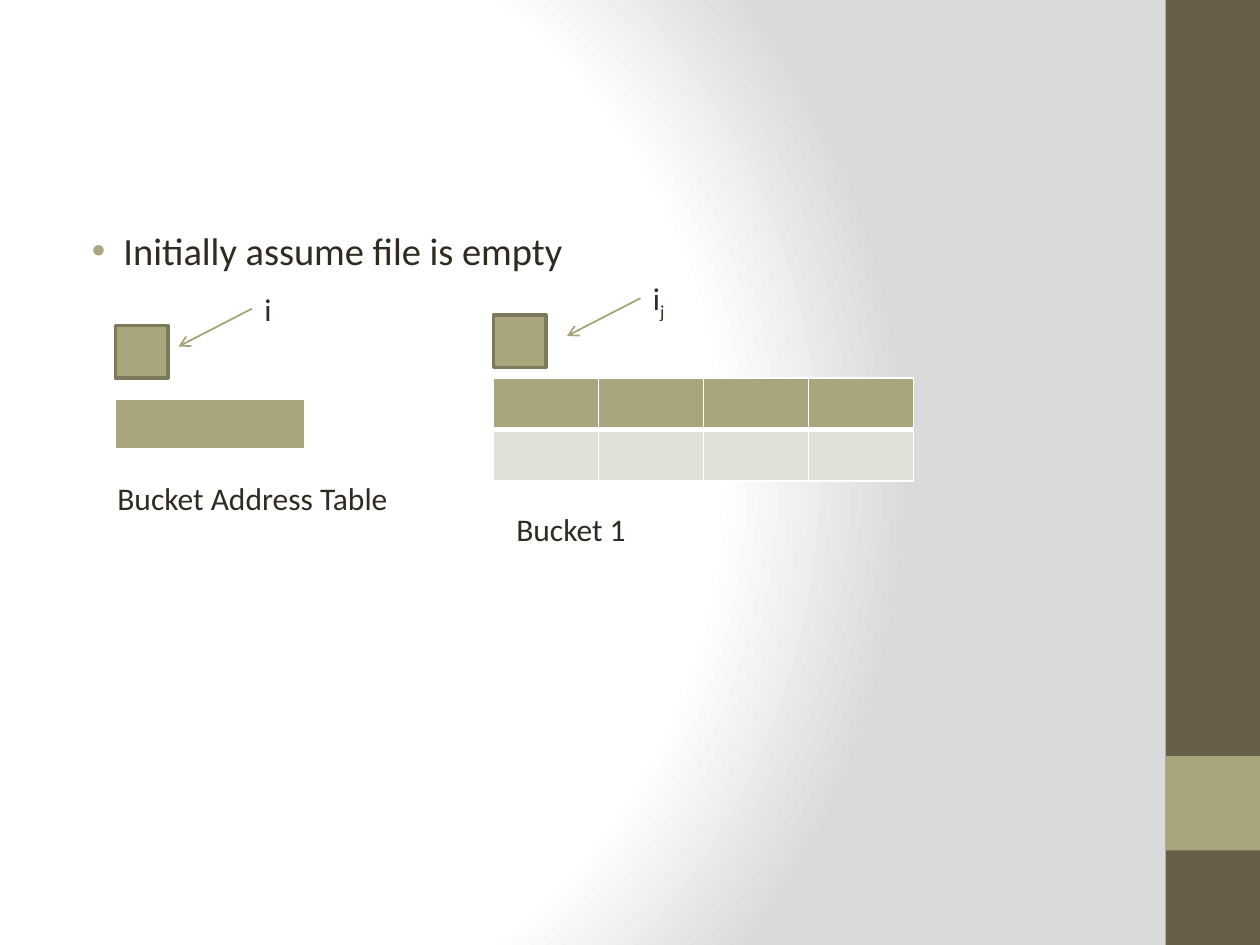
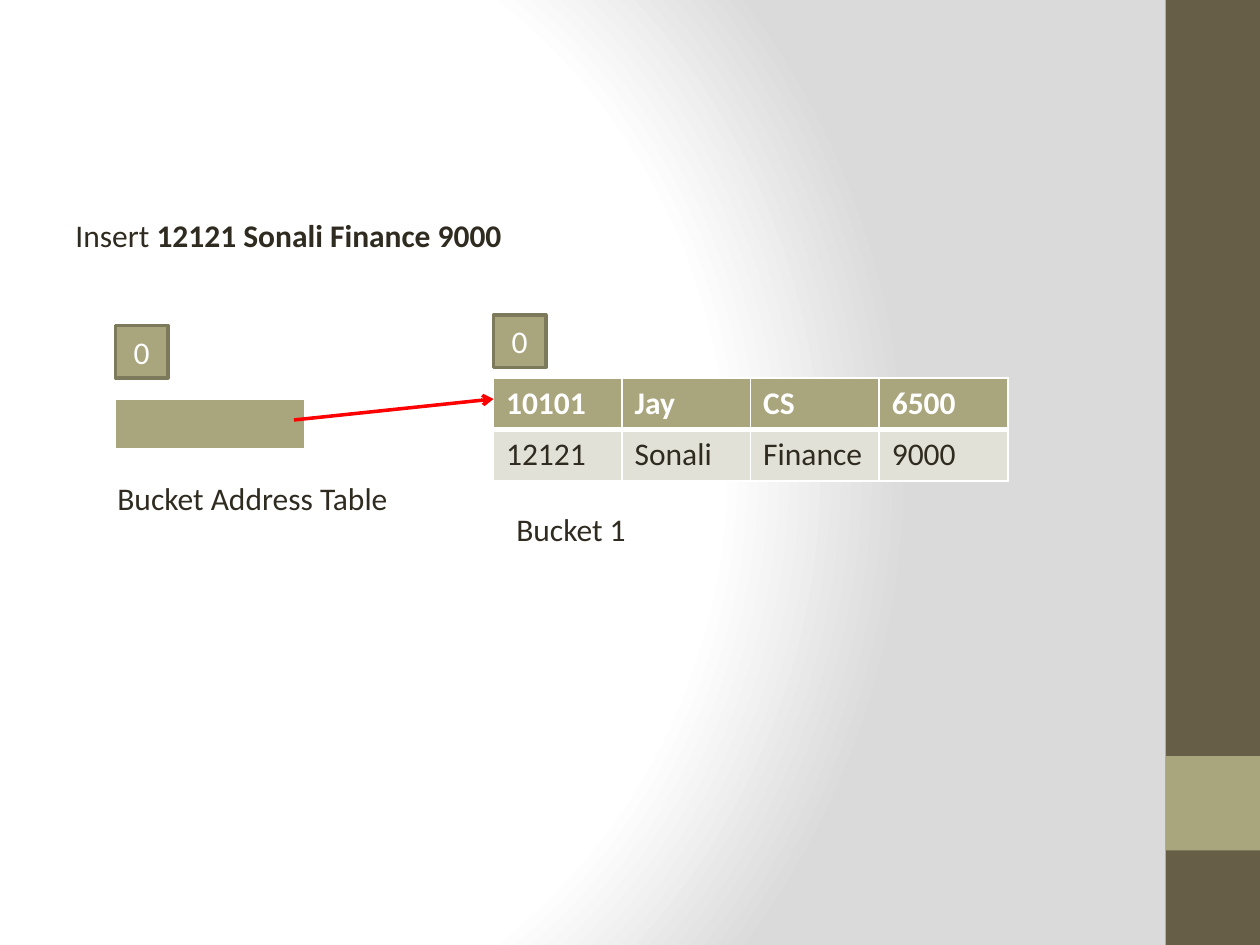
from lxml import etree
from pptx import Presentation
from pptx.dml.color import RGBColor
from pptx.enum.shapes import MSO_CONNECTOR, MSO_SHAPE
from pptx.enum.text import MSO_ANCHOR, PP_ALIGN
from pptx.oxml import parse_xml
from pptx.oxml.ns import nsdecls, qn
from pptx.util import Inches, Pt

RECTANGLE = MSO_SHAPE.RECTANGLE
STRAIGHT = MSO_CONNECTOR.STRAIGHT
MIDDLE = MSO_ANCHOR.MIDDLE
CENTER = PP_ALIGN.CENTER

COLUMNS, ROWS = 120, 90
RECORD_ROW = 4.9
FONT = "Calibri"
INK, WHITE, BROWN, OLIVE = "2F2B20", "FFFFFF", "675E47", "A9A57C"
OUTLINE, PALE, POINTER, RED = "7D7A5C", "E2E1D7", "A6A278", "FF0000"
BACKDROP = [(0, WHITE), (75, WHITE), (100, "DADADA")]


def grid(*units):
    """Turn grid units, twelve to the inch, into lengths."""
    return [Inches(unit / 12) for unit in units]


def color(hex_code):
    """Turn a hex string into a colour."""
    return RGBColor.from_string(hex_code)


def write(paragraph, text, size=18, ink=INK, bold=False, baseline=0):
    """Add a formatted run to a paragraph."""
    run = paragraph.add_run()
    run.text = text
    run.font.name, run.font.size, run.font.bold = FONT, Pt(size), bold
    run.font.color.rgb = color(ink)
    if baseline:
        run._r.get_or_add_rPr().set("baseline", str(baseline * 1000))


def add_block(slide, place, fill, outline=None, text=""):
    """Add a filled rectangle with an optional outline and centred text."""
    block = slide.shapes.add_shape(RECTANGLE, *grid(*place))
    block.shadow.inherit = False
    block.fill.solid()
    block.fill.fore_color.rgb = color(fill)
    if outline:
        block.line.color.rgb = color(outline)
        block.line.width = Pt(2)
    else:
        block.line.fill.background()
    if text:
        block.text_frame.vertical_anchor = MIDDLE
        paragraph = block.text_frame.paragraphs[0]
        paragraph.alignment = CENTER
        write(paragraph, text, ink=WHITE)


def add_label(slide, place, *pieces):
    """Add a text box from pairs of text and format."""
    frame = slide.shapes.add_textbox(*grid(*place)).text_frame
    frame.word_wrap = True
    for text, style in pieces:
        write(frame.paragraphs[0], text, **style)


def add_arrow(slide, start, end, ink, width):
    """Add a straight line with an open arrowhead at its end."""
    arrow = slide.shapes.add_connector(STRAIGHT, *grid(*start, *end))
    arrow.line.color.rgb = color(ink)
    arrow.line.width = Pt(width)
    etree.SubElement(arrow.line._get_or_add_ln(), qn("a:tailEnd"), type="arrow")
    etree.SubElement(arrow._element.spPr, qn("a:effectLst"))


def set_borders(cell, bottom):
    """Draw white borders round a cell, with the given bottom width."""
    for side, width in zip("LRTB", (1, 1, 1, bottom)):
        cell._tc.get_or_add_tcPr().append(parse_xml(
            f'<a:ln{side} {nsdecls("a")} w="{Pt(width)}"><a:solidFill>'
            f'<a:srgbClr val="{WHITE}"/></a:solidFill></a:ln{side}>'))


def add_records(slide, left, top, width, records):
    """Add a table whose first row is dark and whose other rows are pale."""
    place = grid(left, top, width, RECORD_ROW * len(records))
    table = slide.shapes.add_table(len(records), len(records[0]), *place).table
    table.first_row = table.horz_banding = False
    for row, record in enumerate(records):
        table.rows[row].height = grid(RECORD_ROW)[0]
        for column, value in enumerate(record):
            cell = table.cell(row, column)
            set_borders(cell, 1 if row else 3)
            cell.fill.solid()
            cell.fill.fore_color.rgb = color(PALE if row else OLIVE)
            if value:
                write(cell.text_frame.paragraphs[0], value,
                      ink=INK if row else WHITE, bold=not row)


def add_counter_label(slide, left, top, *pieces):
    """Name a counter and point from the name down to its box."""
    add_arrow(slide, (left, top + 2.4), (left - 7, top + 6), POINTER, 1)
    add_label(slide, (left, top, 4, 4.8), *pieces)


def add_bullet(slide, text):
    """Fill the body placeholder with one bulleted line."""
    body = slide.placeholders[1]
    body.left, body.top, body.width, body.height = grid(6, 21, 100, 63)
    paragraph = body.text_frame.paragraphs[0]
    properties = paragraph._p.get_or_add_pPr()
    properties.set("marL", str(Inches(0.38)))
    properties.set("indent", str(Inches(-0.25)))
    bullet_color = etree.SubElement(properties, qn("a:buClr"))
    etree.SubElement(bullet_color, qn("a:srgbClr"), val=OLIVE)
    etree.SubElement(properties, qn("a:buFont"), typeface="Arial")
    etree.SubElement(properties, qn("a:buChar"), char="•")
    paragraph.space_before = Pt(0)
    write(paragraph, text, size=22)


def set_backdrop(master):
    """Give the master a radial gradient."""
    fill = master.background.fill
    fill.gradient()
    stops = "".join(f'<a:gs pos="{share * 1000}"><a:srgbClr val="{shade}"/></a:gs>'
                    for share, shade in BACKDROP)
    gradient = parse_xml(
        f'<a:gradFill {nsdecls("a")} rotWithShape="1"><a:gsLst>{stops}</a:gsLst>'
        '<a:path path="circle"><a:fillToRect l="20000" t="50000" r="100000" '
        'b="50000"/></a:path></a:gradFill>')
    old = master._element.find(".//" + qn("a:gradFill"))
    old.getparent().replace(old, gradient)


def add_slide(deck, layout):
    """Add a slide with the side bands and no title."""
    slide = deck.slides.add_slide(deck.slide_layouts[layout])
    if slide.shapes.title is not None:
        title = slide.shapes.title._element
        title.getparent().remove(title)
    add_block(slide, (111, 0, 9, ROWS), BROWN)
    add_block(slide, (111, 72, 9, 9), OLIVE)
    return slide


def add_hash_file(slide, counter, records, width):
    """Draw the address table and the bucket with their counters."""
    add_records(slide, 11, 38, 18, [[""]])
    add_block(slide, (11, 31, 5, 5), OLIVE, OUTLINE, counter)
    add_records(slide, 47, 36, width, records)
    add_block(slide, (47, 30, 5, 5), OLIVE, OUTLINE, counter)
    add_label(slide, (10, 45, 29, 4.8), ("Bucket Address Table", {}))
    add_label(slide, (48, 48, 13, 4.8), ("Bucket 1", {}))


def main():
    """Build the two slides on extendable hashing."""
    deck = Presentation()
    deck.slide_width, deck.slide_height = grid(COLUMNS, ROWS)
    set_backdrop(deck.slide_master)

    empty_file = add_slide(deck, 1)
    add_bullet(empty_file, "Initially assume file is empty")
    add_hash_file(empty_file, "", [[""] * 4] * 2, 40)
    add_counter_label(empty_file, 24, 27, ("i", {}))
    add_counter_label(empty_file, 61, 26, ("i", {}), ("j", {"baseline": -25}))

    insertion = add_slide(deck, 6)
    add_hash_file(insertion, "0", [["10101", "Jay", "CS", "6500"],
                                   ["12121", "Sonali", "Finance", "9000"]], 49)
    add_label(insertion, (6, 20, 92, 12), ("Insert ", {}),
              ("12121 Sonali Finance 9000", {"bold": True}))
    add_arrow(insertion, (28, 40), (47, 38), RED, 2)

    deck.save("out.pptx")


if __name__ == "__main__":
    main()
